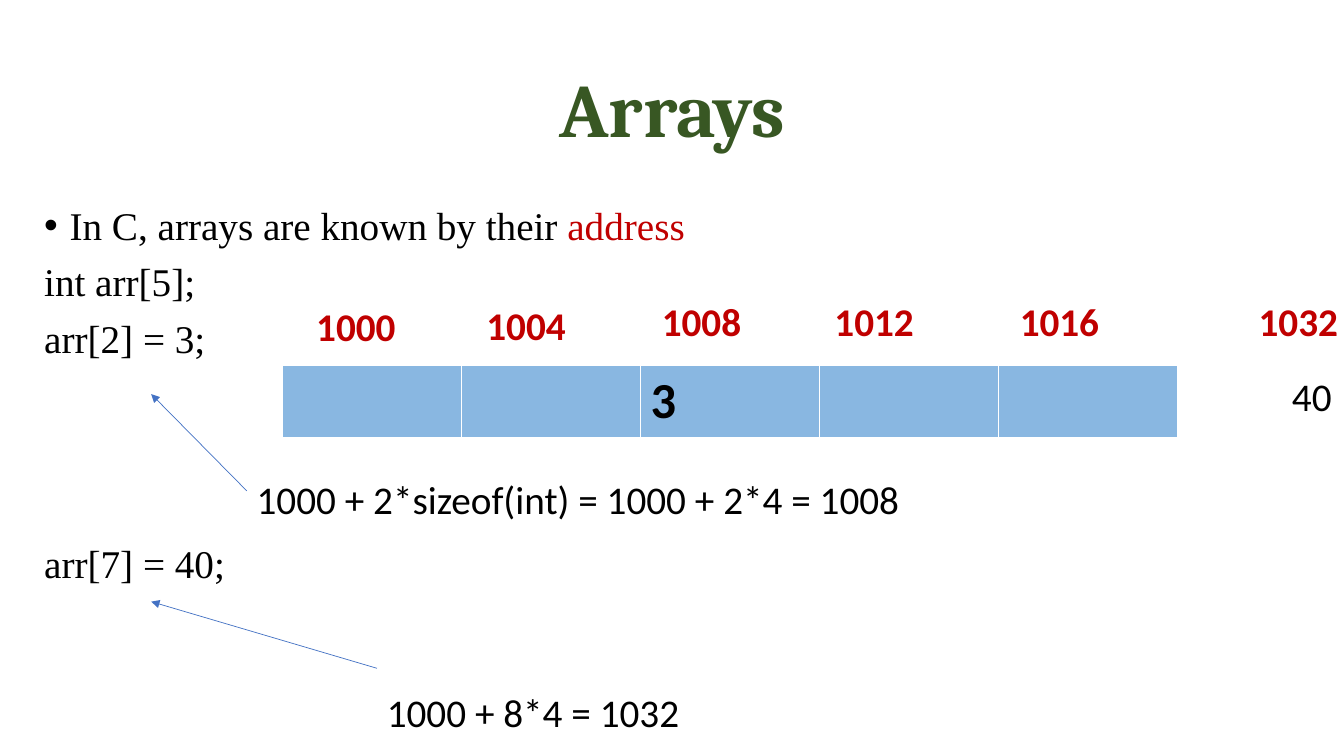
import pptx
import pptx.util
import pptx.dml.color
import pptx.enum.shapes
import pptx.enum.text
import lxml.etree
from pptx.util import Cm, Pt

RED, BLACK, GREEN, WHITE = "C00000", "000000", "385723", "FFFFFF"
CELL_BLUE, ARROW_BLUE = "89B7E1", "4472C4"

TITLE = "Arrays"
TITLE_BOX = (2.34, 1.02, 29.21, 3.68)
BODY_BOX = (0.86, 5.08, 33.55, 12.98)
BODY = [
    {"runs": [("In C, arrays are known by their ", BLACK), ("address", RED)], "bullet": True, "before": 10},
    {"runs": [("int arr[5];", BLACK)], "bullet": False, "before": 10},
    {"runs": [("arr[2] = 3;", BLACK)], "bullet": False, "before": 10},
    {"runs": [("arr[7] = 40;", BLACK)], "bullet": False, "before": 131},
]
CELLS = ["", "", "3", "", ""]
TABLE_BOX = (7.11, 9.22, 22.58, 1.78)
ADDRESSES = [
    ("1000", 7.72, 7.49),
    ("1004", 12.01, 7.47),
    ("1008", 16.43, 7.37),
    ("1012", 20.78, 7.37),
    ("1016", 25.45, 7.37),
    ("1032", 31.47, 7.37),
]
NOTES = [
    ("1000 + 2*sizeof(int) = 1000 + 2*4 = 1008", 6.22, 11.84, 18.19),
    ("1000 + 8*4 = 1032", 9.5, 17.22, 15.95),
    ("40", 32.31, 9.25, 3),
]
ARROWS = [(6.22, 12.37, 3.81, 9.93), (9.5, 16.84, 3.81, 15.16)]

TITLE_FONT = {"name": "Cambria", "size": Pt(54), "bold": True}
BODY_FONT = {"name": "Times New Roman", "size": Pt(28), "bold": False}
ADDRESS_FONT = {"name": "Calibri", "size": Pt(28), "bold": True}
NOTE_FONT = {"name": "Calibri", "size": Pt(28), "bold": False}
CELL_FONT = {"name": "Calibri", "size": Pt(36), "bold": True}


def color(value):
    return pptx.dml.color.RGBColor.from_string(value)


def set_values(target, values):
    for name, value in values.items():
        setattr(target, name, value)


def add_child(parent, tag, **attributes):
    return lxml.etree.SubElement(parent, pptx.oxml.ns.qn(tag), attributes)


def add_run(paragraph, text, font, hue):
    run = paragraph.add_run()
    run.text = text
    set_values(run.font, font)
    run.font.color.rgb = color(hue)


def place(shape, box):
    set_values(shape, dict(zip(("left", "top", "width", "height"), map(Cm, box))))


def fill_title(shape):
    place(shape, TITLE_BOX)
    set_values(shape.text_frame, {
        "auto_size": pptx.enum.text.MSO_AUTO_SIZE.NONE,
        "vertical_anchor": pptx.enum.text.MSO_ANCHOR.MIDDLE,
    })
    paragraph = shape.text_frame.paragraphs[0]
    set_values(paragraph, {"alignment": pptx.enum.text.PP_ALIGN.CENTER, "line_spacing": 0.9})
    add_run(paragraph, TITLE, TITLE_FONT, GREEN)


def fill_body(shape):
    place(shape, BODY_BOX)
    frame = shape.text_frame
    frame.auto_size = pptx.enum.text.MSO_AUTO_SIZE.NONE
    for index, line in enumerate(BODY):
        paragraph = frame.add_paragraph() if index else frame.paragraphs[0]
        set_values(paragraph, {"line_spacing": 0.9, "space_before": Pt(line["before"]), "space_after": Pt(0)})
        properties = paragraph._p.get_or_add_pPr()
        indent = Cm(0.64) if line["bullet"] else 0
        properties.set("marL", str(indent))
        properties.set("indent", str(-indent))
        if line["bullet"]:
            add_child(properties, "a:buFont", typeface="Arial")
            add_child(properties, "a:buChar", char="•")
        else:
            add_child(properties, "a:buNone")
        for text, hue in line["runs"]:
            add_run(paragraph, text, BODY_FONT, hue)


def add_array(slide):
    table = slide.shapes.add_table(1, len(CELLS), *map(Cm, TABLE_BOX)).table
    set_values(table, {"first_row": False, "horz_banding": False})
    for cell, text in zip(table.rows[0].cells, CELLS):
        properties = cell._tc.get_or_add_tcPr()
        for side in ("a:lnL", "a:lnR", "a:lnT", "a:lnB"):
            border = add_child(properties, side, w=str(Pt(1)))
            add_child(add_child(border, "a:solidFill"), "a:srgbClr", val=WHITE)
        cell.fill.solid()
        cell.fill.fore_color.rgb = color(CELL_BLUE)
        if text:
            add_run(cell.text_frame.paragraphs[0], text, CELL_FONT, BLACK)


def add_label(slide, text, left, top, width, font, hue):
    frame = slide.shapes.add_textbox(*map(Cm, (left, top, width, 1.45))).text_frame
    frame.word_wrap = True
    add_run(frame.paragraphs[0], text, font, hue)


def add_arrow(slide, ends):
    arrow = slide.shapes.add_connector(pptx.enum.shapes.MSO_CONNECTOR.STRAIGHT, *map(Cm, ends))
    arrow.line.width = Pt(0.5)
    arrow.line.color.rgb = color(ARROW_BLUE)
    add_child(arrow.line._get_or_add_ln(), "a:tailEnd", type="triangle")
    add_child(arrow._element.spPr, "a:effectLst")


def main():
    presentation = pptx.Presentation()
    set_values(presentation, {"slide_width": Cm(33.87), "slide_height": Cm(19.05)})
    slide = presentation.slides.add_slide(presentation.slide_layouts[1])
    fill_title(slide.shapes.title)
    fill_body(slide.placeholders[1])
    add_array(slide)
    for text, left, top in ADDRESSES:
        add_label(slide, text, left, top, 3.6, ADDRESS_FONT, RED)
    for text, left, top, width in NOTES:
        add_label(slide, text, left, top, width, NOTE_FONT, BLACK)
    for ends in ARROWS:
        add_arrow(slide, ends)
    presentation.save("out.pptx")


if __name__ == "__main__":
    main()
